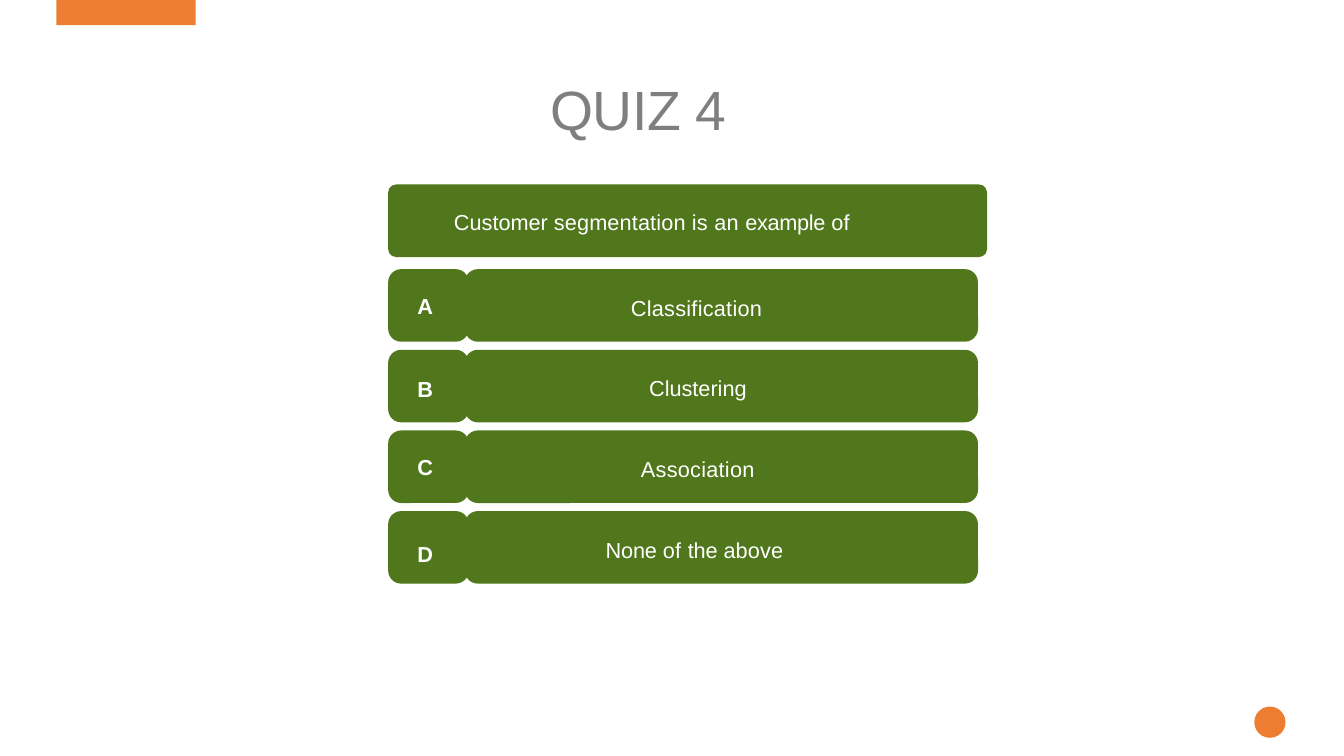
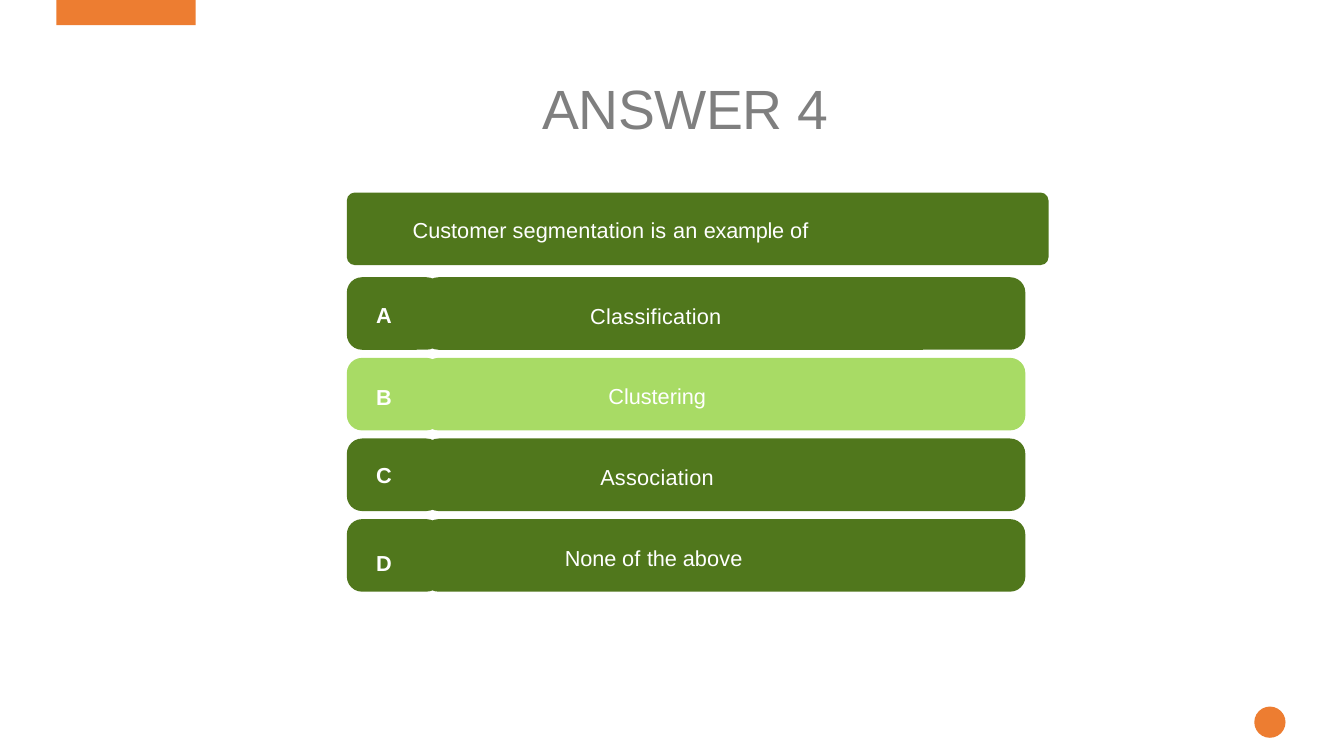
"""Build a quiz slide and its answer slide."""
import pptx
import pptx.dml.color
import pptx.enum.shapes
import pptx.enum.text
import pptx.util

PX = 9144
FONT = "Arial"
COLORS = {
    "background": "FFFFFF",
    "accent": "ED7D31",
    "title": "7F7F7F",
    "tile": "50771C",
    "correct": "A8DB65",
    "text": "FFFFFF",
}
SHAPES = pptx.enum.shapes.MSO_SHAPE
ANCHORS = pptx.enum.text.MSO_ANCHOR

TILE_HEIGHT = 72
FIRST_OPTION_OFFSET = 84
OPTION_PITCH = 80
OPTION_INDENT = 76
QUESTION_RADIUS = 8

QUESTION = [("Customer ", 0), ("segmentation is ", 10), ("an ", 20),
            ("example ", -20), ("of", 20)]
OPTIONS = [
    ("A", 100, 161, [("Classification", 20)]),
    ("B", 182, 179, [("Clustering", 0)]),
    ("C", 259, 171, [("Association", 20)]),
    ("D", 346, 136, [("None ", -10), ("of ", 20), ("the ", -10), ("above", 10)]),
]
SLIDES = [
    {"title": "QUIZ 4", "title_box": (535, 68, 197, 77), "left": 385, "top": 183,
     "question_width": 594, "letter_width": 80, "option_width": 509,
     "label_width": 57, "radius": 13, "correct": None},
    {"title": "ANSWER 4", "title_box": (527, 67, 307, 77), "left": 344, "top": 191,
     "question_width": 696, "letter_width": 94, "option_width": 597,
     "label_width": 66, "radius": 15, "correct": "B"},
]


def add_block(slide, kind, box, color, radius=0):
    """Add a filled shape without outline, with corners of the given radius."""
    shape = slide.shapes.add_shape(kind, *[value * PX for value in box])
    shape.shadow.inherit = False
    shape.fill.solid()
    shape.fill.fore_color.rgb = pptx.dml.color.RGBColor.from_string(COLORS[color])
    shape.line.fill.background()
    if radius:
        shape.adjustments[0] = round(radius / box[3], 2)
    return shape


def write_text(shape, pieces, left, top, size=15.5, color="text", bold=False,
               anchor=ANCHORS.MIDDLE):
    """Write (text, letter spacing) pieces as one left-aligned line."""
    text_frame = shape.text_frame
    text_frame.word_wrap = True
    text_frame.vertical_anchor = anchor
    text_frame.margin_left, text_frame.margin_top = left * PX, top * PX
    text_frame.margin_right = text_frame.margin_bottom = 0
    paragraph = text_frame.paragraphs[0]
    paragraph.alignment = pptx.enum.text.PP_ALIGN.LEFT
    for text, spacing in pieces:
        run = paragraph.add_run()
        run.text = text
        run.font.name = FONT
        run.font.size = pptx.util.Pt(size)
        run.font.bold = bold
        run.font.color.rgb = pptx.dml.color.RGBColor.from_string(COLORS[color])
        run._r.get_or_add_rPr().set("spc", str(spacing))


presentation = pptx.Presentation()
presentation.slide_width = 1333 * PX
presentation.slide_height = 750 * PX

background = presentation.slide_master.background.fill
background.solid()
background.fore_color.rgb = pptx.dml.color.RGBColor.from_string(COLORS["background"])

for page in SLIDES:
    slide = presentation.slides.add_slide(presentation.slide_layouts[6])
    left, top = page["left"], page["top"]

    add_block(slide, SHAPES.RECTANGLE, (56, 0, 138, 25), "accent")
    add_block(slide, SHAPES.OVAL, (1244, 701, 31, 31), "accent")

    title = slide.shapes.add_textbox(*[value * PX for value in page["title_box"]])
    write_text(title, [(page["title"], -30)], 11, 7, size=39.5, color="title",
               anchor=ANCHORS.TOP)

    question = add_block(slide, SHAPES.ROUNDED_RECTANGLE,
                         (left, top, page["question_width"], TILE_HEIGHT),
                         "tile", QUESTION_RADIUS)
    write_text(question, QUESTION, 63, 3)

    for row, (letter, label_offset, indent, answer) in enumerate(OPTIONS):
        color = "correct" if letter == page["correct"] else "tile"
        row_top = top + FIRST_OPTION_OFFSET + row * OPTION_PITCH
        add_block(slide, SHAPES.ROUNDED_RECTANGLE,
                  (left, row_top, page["letter_width"], TILE_HEIGHT),
                  color, page["radius"])
        option = add_block(slide, SHAPES.ROUNDED_RECTANGLE,
                           (left + OPTION_INDENT, row_top, page["option_width"], TILE_HEIGHT),
                           color, page["radius"])
        write_text(option, answer, indent, 4)
        label = add_block(slide, SHAPES.RECTANGLE,
                          (left + 12, top + label_offset, page["label_width"], 37), color)
        write_text(label, [(letter, 10)], 17, 8, bold=True, anchor=ANCHORS.TOP)

presentation.save("out.pptx")
